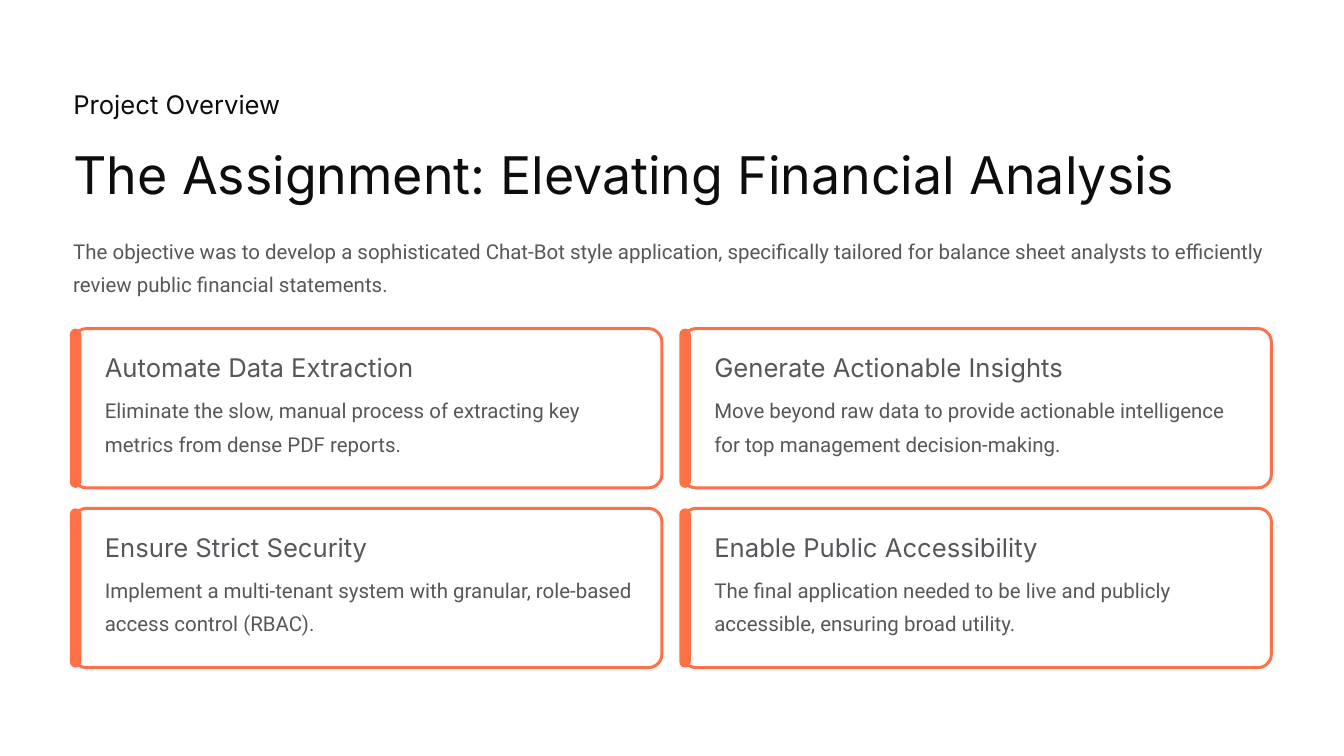
from dataclasses import dataclass

import pptx
import pptx.dml.color
import pptx.enum.shapes
import pptx.slide
import pptx.util

Inches = pptx.util.Inches
Pt = pptx.util.Pt
RGBColor = pptx.dml.color.RGBColor

INK = RGBColor(0x0C, 0x0D, 0x0F)
GRAY = RGBColor(0x55, 0x57, 0x5A)
CORAL = RGBColor(0xFF, 0x70, 0x47)
WHITE = RGBColor(0xFF, 0xFF, 0xFF)

LEFT, TOP = 1.09, 4.89
CARD_W, CARD_H = 8.76, 2.37
STEP_X, STEP_Y = 9.07, 2.675
BAR_W = 0.17


@dataclass(frozen=True)
class Style:
    font: str
    size: float
    pitch: float
    color: RGBColor


@dataclass(frozen=True)
class Card:
    title: str
    width: float
    body: str


LABEL = Style("Inter", 27.5, 34.4, INK)
TITLE = Style("Inter", 55.6, 69.4, INK)
HEAD = Style("Inter", 27.5, 34.4, GRAY)
BODY = Style("Roboto", 21.9, 35.6, GRAY)

CARDS = [
    Card("Automate Data Extraction", 4.66,
         "Eliminate the slow, manual process of extracting key metrics "
         "from dense PDF reports."),
    Card("Generate Actionable Insights", 5.27,
         "Move beyond raw data to provide actionable intelligence "
         "for top management decision-making."),
    Card("Ensure Strict Security", 3.97,
         "Implement a multi-tenant system with granular, role-based "
         "access control (RBAC)."),
    Card("Enable Public Accessibility", 4.89,
         "The final application needed to be live and publicly "
         "accessible, ensuring broad utility."),
]


def add_text(slide: pptx.slide.Slide, text: str, style: Style,
             x: float, y: float, w: float, h: float) -> None:
    box = slide.shapes.add_textbox(Inches(x), Inches(y), Inches(w), Inches(h))
    frame = box.text_frame
    frame.word_wrap = True
    frame.margin_left = frame.margin_right = 0
    frame.margin_top = frame.margin_bottom = 0
    para = frame.paragraphs[0]
    para.line_spacing = Pt(style.pitch)
    run = para.add_run()
    run.text = text
    run.font.name = style.font
    run.font.size = Pt(style.size)
    run.font.color.rgb = style.color


def add_panel(slide: pptx.slide.Slide, x: float, y: float, w: float, h: float,
              radius: float, fill: RGBColor, line: float = 0) -> None:
    """Draw a rounded rectangle; a line width of 0 means no outline."""
    kind = pptx.enum.shapes.MSO_SHAPE.ROUNDED_RECTANGLE
    panel = slide.shapes.add_shape(
        kind, Inches(x), Inches(y), Inches(w), Inches(h))
    panel.adjustments[0] = radius / min(w, h)
    panel.shadow.inherit = False
    panel.fill.solid()
    panel.fill.fore_color.rgb = fill
    if line:
        panel.line.color.rgb = CORAL
        panel.line.width = Pt(line)
    else:
        panel.line.fill.background()


def add_card(slide: pptx.slide.Slide, card: Card, x: float, y: float) -> None:
    add_panel(slide, x, y, CARD_W, CARD_H, 0.2, WHITE, 3.2)
    add_panel(slide, x - 0.05, y, BAR_W, CARD_H, BAR_W / 2, CORAL)
    add_text(slide, card.title, HEAD, x + 0.47, y + 0.33, card.width, 0.51)
    add_text(slide, card.body, BODY, x + 0.47, y + 0.91, 7.93, 1.11)


def main() -> None:
    deck = pptx.Presentation()
    deck.slide_width, deck.slide_height = Inches(20), Inches(11.25)
    slide = deck.slides.add_slide(deck.slide_layouts[6])
    slide.background.fill.solid()
    slide.background.fill.fore_color.rgb = WHITE

    add_text(slide, "Project Overview", LABEL, LEFT, 1.3, 3.88, 0.51)
    add_text(slide, "The Assignment: Elevating Financial Analysis", TITLE,
             LEFT, 2.08, 16.46, 1)
    add_text(slide,
             "The objective was to develop a sophisticated Chat-Bot style "
             "application, specifically tailored for balance sheet analysts "
             "to efficiently review public financial statements.",
             BODY, LEFT, 3.43, 17.83, 1.11)

    for i, card in enumerate(CARDS):
        row, col = divmod(i, 2)
        add_card(slide, card, LEFT + col * STEP_X, TOP + row * STEP_Y)

    deck.save("out.pptx")


if __name__ == "__main__":
    main()
